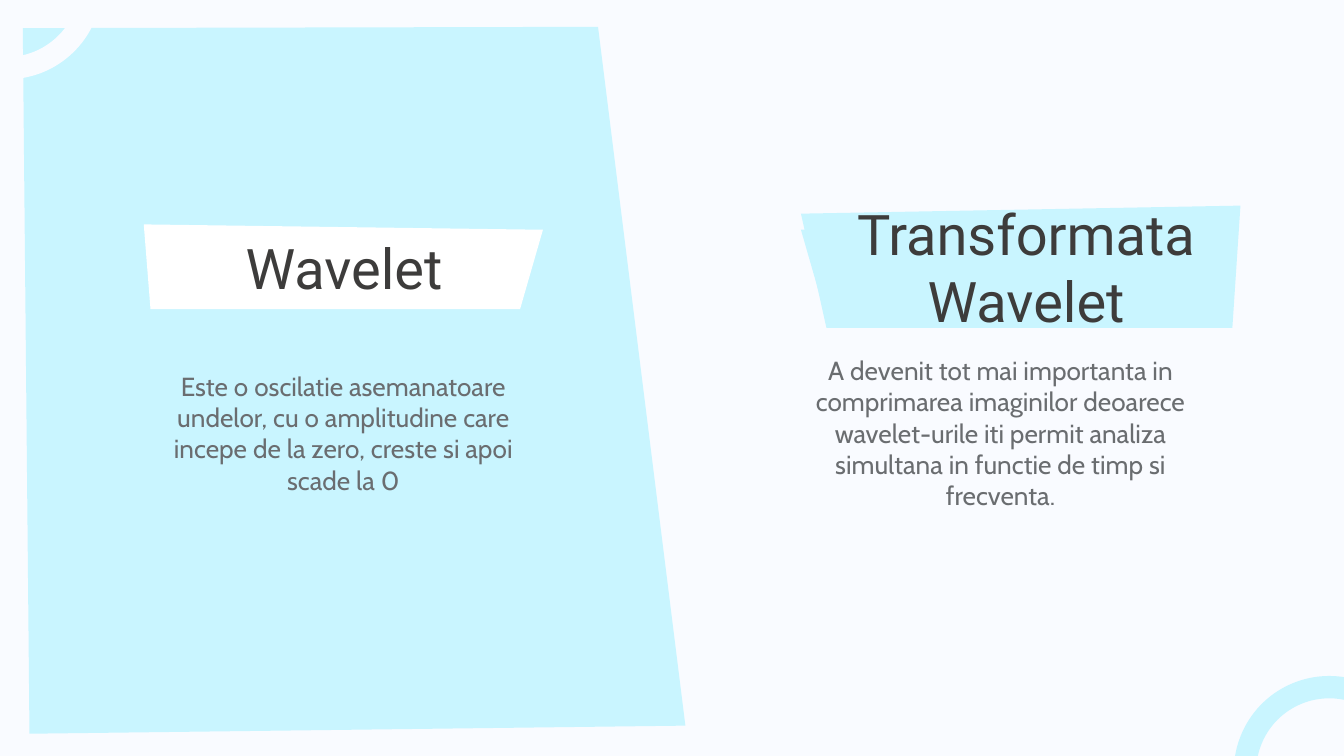
import pptx
import pptx.util
import pptx.dml.color
import pptx.enum.shapes
import pptx.enum.text
import pptx.oxml.ns

Pt = pptx.util.Pt
AQUA, PALE, WHITE = "C9F5FF", "F9FBFF", "FFFFFF"


def tint(code):
    return pptx.dml.color.RGBColor.from_string(code)


class Deck:
    """Holds the text styles and the current slide, and draws each kind of element."""

    styles = {
        "title": {"name": "Roboto", "size": Pt(30), "ink": "3D3C3B"},
        "body": {"name": "Cabin", "size": Pt(14), "ink": "6A6D70"},
    }
    frame = {
        "word_wrap": True,
        "vertical_anchor": pptx.enum.text.MSO_ANCHOR.MIDDLE,
        "margin_left": Pt(7.2),
        "margin_right": Pt(7.2),
        "margin_top": Pt(7.2),
        "margin_bottom": Pt(7.2),
    }

    def __init__(self, width, height, back):
        self.file = pptx.Presentation()
        self.file.slide_width, self.file.slide_height = Pt(width), Pt(height)
        self.slide = self.file.slides.add_slide(self.file.slide_layouts[6])
        self.slide.background.fill.solid()
        self.slide.background.fill.fore_color.rgb = tint(back)

    def paint(self, shape, color):
        shape.shadow.inherit = False
        shape.fill.solid()
        shape.fill.fore_color.rgb = tint(color)
        shape.line.fill.background()

    def panel(self, points, color):
        first, *rest = [(Pt(x), Pt(y)) for x, y in points]
        pen = self.slide.shapes.build_freeform(*first, scale=1.0)
        pen.add_line_segments(rest, close=True)
        self.paint(pen.convert_to_shape(), color)

    def ring(self, left, top, size, turn, color):
        kind = pptx.enum.shapes.MSO_SHAPE.BLOCK_ARC
        box = (Pt(n) for n in (left, top, size, size))
        arc = self.slide.shapes.add_shape(kind, *box)
        for index, value in enumerate((108, 2.64, 0.117)):
            arc.adjustments[index] = value
        arc.rotation = turn
        arc.element.spPr.find(pptx.oxml.ns.qn("a:xfrm")).set("flipH", "1")
        self.paint(arc, color)

    def text(self, words, left, top, width, height, style):
        box = (Pt(n) for n in (left, top, width, height))
        frame = self.slide.shapes.add_textbox(*box).text_frame
        for key, value in self.frame.items():
            setattr(frame, key, value)
        frame.text = words
        para = frame.paragraphs[0]
        para.alignment = pptx.enum.text.PP_ALIGN.CENTER
        for run in para.runs:
            for key, value in self.styles[style].items():
                if key == "ink":
                    run.font.color.rgb = tint(value)
                else:
                    setattr(run.font, key, value)

    def save(self):
        self.file.save("out.pptx")


def main():
    wide = 720
    deck = Deck(wide, 405, PALE)
    deck.panel([(367.2, 388.8), (320.4, 14.4), (12.24, 15.12), (15.84, 393.12)], AQUA)
    deck.ring(660.96, 362.16, 102.24, 315, AQUA)
    deck.ring(-47.52, -59.76, 102.24, 150, PALE)

    label = [(77.04, 120.24), (80.64, 165.6), (278.64, 165.6), (290.88, 123.12)]
    deck.panel([(wide - x, y) for x, y in label], AQUA)
    deck.panel(label, WHITE)
    deck.panel([(664.56, 110.16), (429.12, 114.48), (442.8, 175.68), (660.24, 175.68)], AQUA)

    deck.text("Wavelet", 93.6, 120.24, 181.44, 45.36, "title")
    deck.text("Transformata\vWavelet", 445.68, 120.24, 208.08, 45.36, "title")
    notes = {
        77.04: "Este o oscilatie asemanatoare undelor, cu o amplitudine care "
        "incepe de la zero, creste si apoi scade la 0",
        429.12: "A devenit tot mai importanta in comprimarea imaginilor deoarece "
        "wavelet-urile iti permit analiza simultana in functie de timp si frecventa.",
    }
    for left, words in notes.items():
        deck.text(words, left, 179.28, 213.84, 105.12, "body")
    deck.save()


if __name__ == "__main__":
    main()
